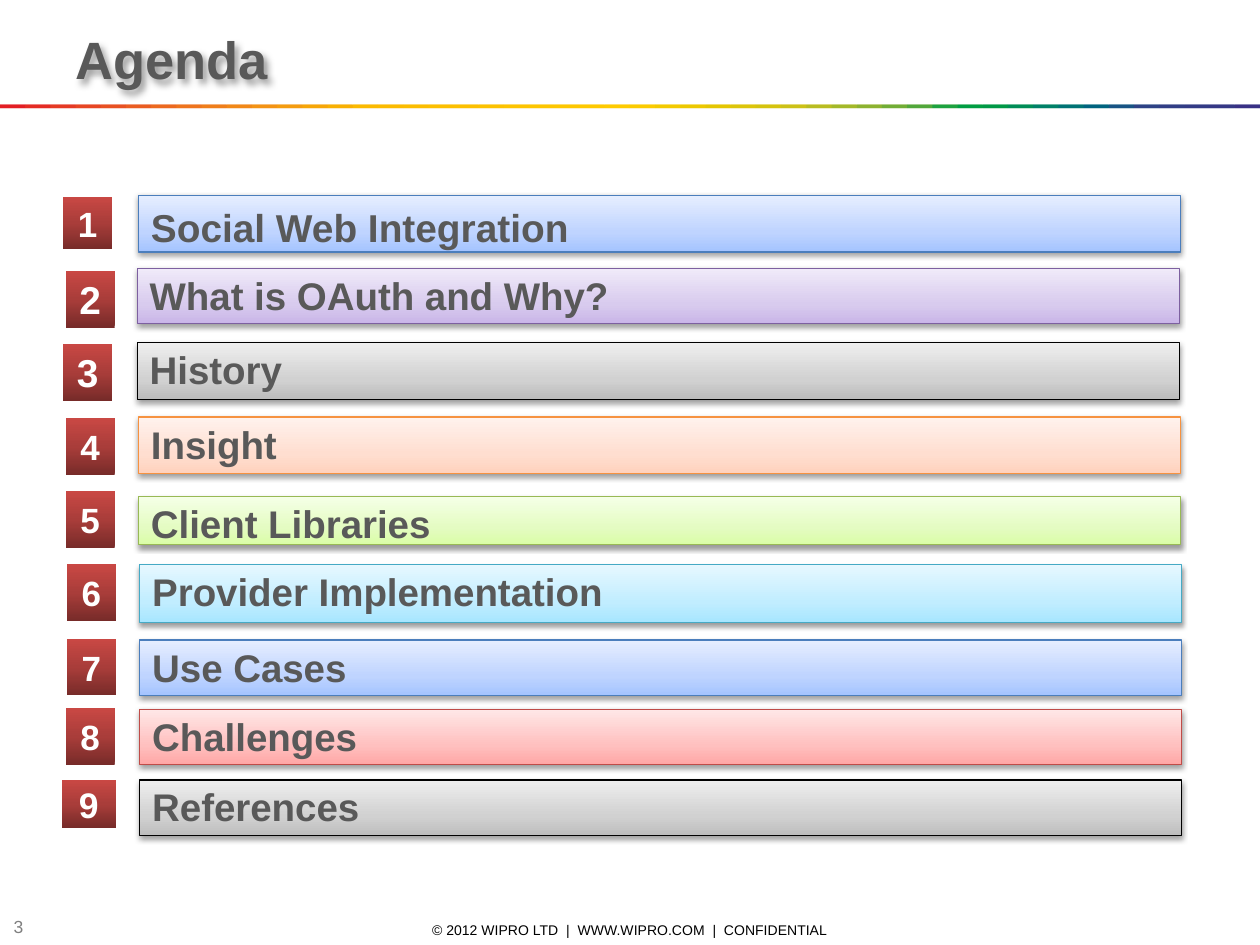
from dataclasses import dataclass

from pptx import Presentation
from pptx.dml.color import RGBColor
from pptx.enum.shapes import MSO_SHAPE
from pptx.enum.text import MSO_ANCHOR as Anchor, PP_ALIGN as Align
from pptx.oxml import parse_xml
from pptx.oxml.ns import nsdecls
from pptx.util import Inches, Pt

FONT = "Arial"
GREY, WHITE = "595959", "FFFFFF"
STEP = 0.2
RAINBOW = """
E31E24 E31E24 E42C24 E53A24 E74623 E85122 EA5D21 EC691F EE741D EF7E1A F18817 F39314 F49C0F
F6A607 F8B002 FBBA00 FBBB00 FBBD00 FCBF00 FCC000 FCC200 FDC400 FDC600 FDC700 FEC900 FECB00
FBCB00 F3CA00 ECC800 E4C602 DCC50A D5C30E CCC117 B8BC21 A3B829 8CB230 71AD36 51A73B 1DA240
009D43 009846 008C57 008068 007275 00637F 185384 2E4285 313E85 333B85 353885 393185
""".split()


@dataclass(frozen=True)
class Theme:
    line: str
    stops: tuple[tuple[int, str], ...]


def pastel(line: str, dark: str, mid: str, light: str) -> Theme:
    return Theme(line, ((0, dark), (35, mid), (100, light)))


RED_BOX = ((0, "772B29"), (50, "A93D3A"), (100, "C94844"))
BLUE = pastel("4B7EBC", "A4C4FF", "BFD4FF", "E6EEFF")
PURPLE = pastel("7D60A0", "C9B5E8", "D8CBEE", "F0EAF9")
SILVER = pastel("000000", "BDBDBD", "D1D1D1", "EEEEEE")
ORANGE = pastel("F69240", "FFD2BD", "FFDED0", "FFF2ED")
GREEN = pastel("98B955", "DAFDA7", "E4FCC2", "F5FFE7")
AQUA = pastel("46AAC5", "A7E6FF", "C1EDFF", "E7F8FF")
PINK = pastel("BF4C48", "FFA6A5", "FFC0BF", "FFE7E7")


@dataclass(frozen=True)
class Topic:
    text: str
    theme: Theme
    bar: tuple[float, float, float]  # left, top, height
    box: tuple[float, float]  # left, top
    box_size: tuple[float, float] = (0.39, 0.45)
    text_pt: float = 22
    number_pt: float = 20
    spacing: float = 0.9


TOPICS = [
    Topic("Social Web Integration", BLUE, (1.1, 1.55, 0.45), (0.5, 1.56), (0.39, 0.42),
          text_pt=22.2, spacing=1.0),
    Topic("What is OAuth and Why?", PURPLE, (1.09, 2.13, 0.44), (0.52, 2.15), number_pt=22.2),
    Topic("History", SILVER, (1.09, 2.72, 0.45), (0.5, 2.73), number_pt=22.2),
    Topic("Insight", ORANGE, (1.1, 3.31, 0.45), (0.52, 3.32)),
    Topic("Client Libraries", GREEN, (1.1, 3.94, 0.38), (0.52, 3.9)),
    Topic("Provider Implementation", AQUA, (1.11, 4.48, 0.46), (0.53, 4.48)),
    Topic("Use Cases", BLUE, (1.11, 5.08, 0.44), (0.53, 5.07)),
    Topic("Challenges", PINK, (1.11, 5.63, 0.44), (0.52, 5.62)),
    Topic("References", SILVER, (1.11, 6.19, 0.44), (0.49, 6.19), (0.43, 0.38), number_pt=20.3),
]


def rgb(value: str) -> RGBColor:
    return RGBColor.from_string(value)


def add_rect(shapes, left: float, top: float, width: float, height: float):
    """Add a rectangle without outline or shadow."""
    sp = shapes.add_shape(MSO_SHAPE.RECTANGLE, *map(Inches, (left, top, width, height)))
    sp.shadow.inherit = False
    sp.line.fill.background()
    return sp


def set_gradient(sp, stops) -> None:
    """Fill from the bottom edge upwards."""
    marks = "".join(f'<a:gs pos="{pos * 1000}"><a:srgbClr val="{color}"/></a:gs>'
                    for pos, color in stops)
    grad = parse_xml(f'<a:gradFill {nsdecls("a")} rotWithShape="1"><a:gsLst>{marks}</a:gsLst>'
                     '<a:lin ang="16200000" scaled="0"/></a:gradFill>')
    sp._element.spPr.find("{*}prstGeom").addnext(grad)


def set_shadow(sp, blur: float, dist: float, angle: int, alpha: int) -> None:
    sp.shadow.inherit = False
    sp._element.spPr.find("{*}effectLst").append(parse_xml(
        f'<a:outerShdw {nsdecls("a")} blurRad="{Pt(blur)}" dist="{Pt(dist)}" '
        f'dir="{angle * 60000}" rotWithShape="0"><a:srgbClr val="000000">'
        f'<a:alpha val="{alpha * 1000}"/></a:srgbClr></a:outerShdw>'))


def write(sp, text: str, size: float, color: str, bold: bool = True, align=Align.LEFT,
          anchor=Anchor.MIDDLE, spacing: float = 1.0, inset: float = 0.05) -> None:
    tf = sp.text_frame
    frame = {"word_wrap": True, "vertical_anchor": anchor, "margin_top": Inches(inset)}
    for name, value in frame.items():
        setattr(tf, name, value)
    p = tf.paragraphs[0]
    p.alignment, p.line_spacing = align, spacing
    r = p.add_run()
    r.text = text
    for name, value in {"name": FONT, "size": Pt(size), "bold": bold}.items():
        setattr(r.font, name, value)
    r.font.color.rgb = rgb(color)


def add_label(s, at: tuple[float, float, float, float], text: str, size: float, color: str,
              **fmt):
    sp = s.shapes.add_textbox(*map(Inches, at))
    write(sp, text, size, color, **fmt)
    return sp


def add_rainbow(s) -> None:
    """Overlapping strips centred on every step, clipped to the slide."""
    group = s.shapes.add_group_shape()
    for i, color in enumerate(RAINBOW):
        left, right = max(0, (i - 1) * STEP), min(10, (i + 1) * STEP)
        strip = add_rect(group.shapes, left, 0.83, right - left, 0.03)
        strip.fill.solid()
        strip.fill.fore_color.rgb = rgb(color)


def add_topic(s, number: int, topic: Topic) -> None:
    left, top, height = topic.bar
    bar = add_rect(s.shapes, left, top, 8.27, height)
    set_gradient(bar, topic.theme.stops)
    bar.line.color.rgb = rgb(topic.theme.line)
    bar.line.width = Pt(0.75)
    set_shadow(bar, blur=3.1, dist=1.6, angle=90, alpha=38)
    write(bar, topic.text, topic.text_pt, GREY, anchor=Anchor.TOP,
          spacing=topic.spacing, inset=0.07)

    box = add_rect(s.shapes, *topic.box, *topic.box_size)
    set_gradient(box, RED_BOX)
    write(box, str(number), topic.number_pt, WHITE, align=Align.CENTER)


def main() -> None:
    prs = Presentation()
    prs.slide_width, prs.slide_height = Inches(10), Inches(7.5)
    s = prs.slides.add_slide(prs.slide_layouts[6])
    add_label(s, (3.3, 7.28, 3.4, 0.2), "© 2012 WIPRO LTD  |  WWW.WIPRO.COM  |  CONFIDENTIAL",
              8, "000000", bold=False, align=Align.CENTER)
    add_label(s, (0.01, 7.27, 0.39, 0.16), "3", 10, "808080", bold=False)
    add_rainbow(s)
    title = add_label(s, (0.5, 0.16, 8.96, 0.61), "Agenda", 30, GREY)
    set_shadow(title, blur=4, dist=3, angle=45, alpha=40)
    for number, topic in enumerate(TOPICS, 1):
        add_topic(s, number, topic)
    prs.save("out.pptx")


if __name__ == "__main__":
    main()
